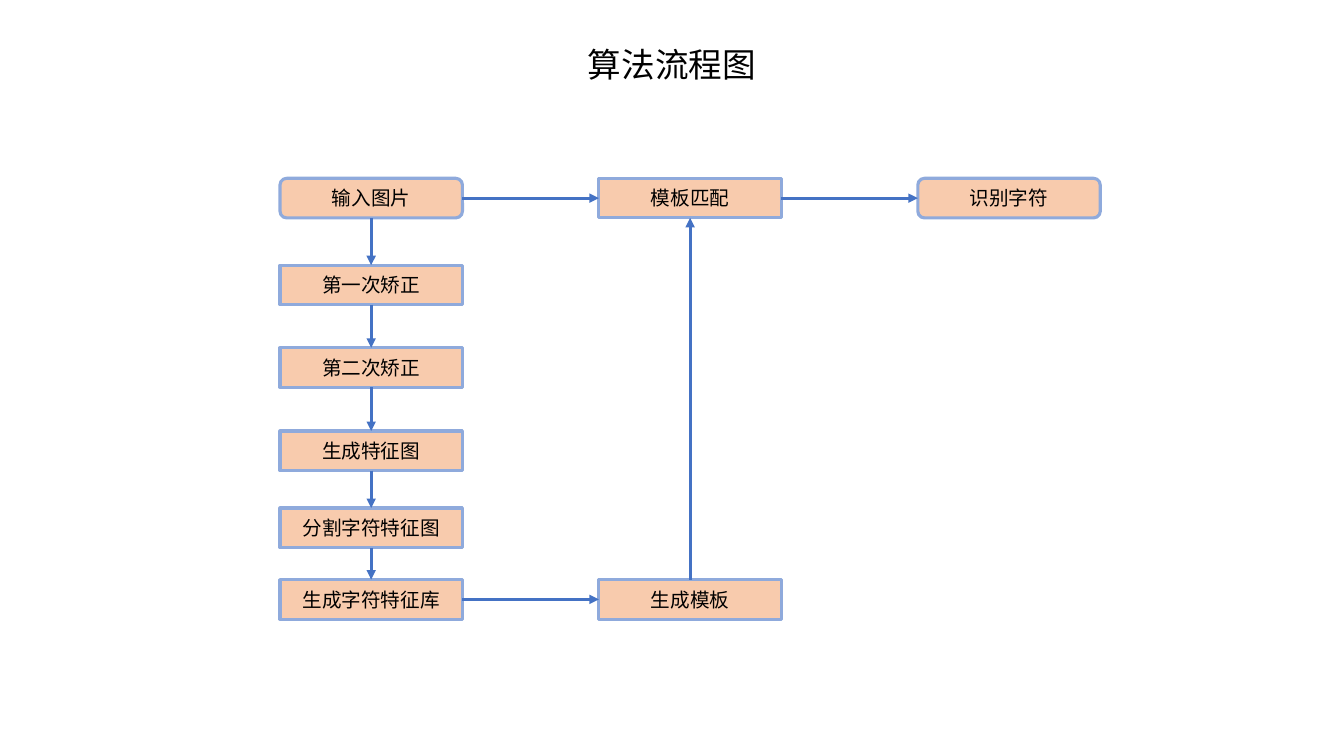
from lxml import etree
from pptx import Presentation
from pptx import util as u
from pptx.dml import color
from pptx.enum import shapes, text
from pptx.oxml import ns

COLOURS = {"box": "F8CBAD", "border": "8FAADC", "arrow": "4472C4", "text": "000000"}
FONT = "Noto Sans CJK SC"
LINE_WIDTH = 2.25
BOX_WIDTH, BOX_HEIGHT = 130.3, 28.3
COLUMN_PITCH = 227.8
ROW_TOPS = [0, 62, 121, 180.5, 235.5, 286.6]
TOP, LEFT, BOTTOM, RIGHT = range(4)

STEPS = {
    "输入图片": (0, 0),
    "第一次矫正": (0, 1),
    "第二次矫正": (0, 2),
    "生成特征图": (0, 3),
    "分割字符特征图": (0, 4),
    "生成字符特征库": (0, 5),
    "生成模板": (1, 5),
    "模板匹配": (1, 0),
    "识别字符": (2, 0),
}
TERMINALS = ("输入图片", "识别字符")
ACROSS = [("输入图片", "模板匹配"), ("模板匹配", "识别字符"), ("生成字符特征库", "生成模板")]


def rgb(name):
    """Return the named colour."""
    return color.RGBColor.from_string(COLOURS[name])


def apply_format(target, values):
    """Set each attribute of the target from a dict."""
    for name, value in values.items():
        setattr(target, name, value)


def write_text(frame, wording, size, frame_format, para_format):
    """Write one centred line of text into a frame."""
    apply_format(frame, {"word_wrap": True, **frame_format})
    para = frame.paragraphs[0]
    apply_format(para, {"alignment": text.PP_ALIGN.CENTER, **para_format})
    span = para.add_run()
    span.text = wording
    apply_format(span.font, {"size": u.Pt(size), "name": FONT})
    span.font.color.rgb = rgb("text")
    east_asian = etree.SubElement(span.font._element, ns.qn("a:ea"))
    east_asian.set("typeface", FONT)


def add_title(page, left, top, width, height):
    """Place the slide title in the given box."""
    box = page.shapes.add_textbox(u.Pt(left), u.Pt(top), u.Pt(width), u.Pt(height))
    write_text(box.text_frame, "算法流程图", 24,
               {"vertical_anchor": text.MSO_ANCHOR.TOP},
               {"line_spacing": 0.9, "space_before": u.Pt(10)})


def add_step(page, wording, left, top):
    """Place one step of the flow and return its shape."""
    outline = shapes.MSO_SHAPE.ROUNDED_RECTANGLE if wording in TERMINALS else shapes.MSO_SHAPE.RECTANGLE
    box = page.shapes.add_shape(outline, u.Pt(left), u.Pt(top), u.Pt(BOX_WIDTH), u.Pt(BOX_HEIGHT))
    box.shadow.inherit = False
    box.fill.solid()
    box.fill.fore_color.rgb = rgb("box")
    box.line.color.rgb = rgb("border")
    box.line.width = u.Pt(LINE_WIDTH)
    write_text(box.text_frame, wording, 14, {"vertical_anchor": text.MSO_ANCHOR.MIDDLE}, {})
    return box


def add_arrow(page, start, start_side, end, end_side):
    """Join two steps with an arrow attached to the given sides."""
    arrow = page.shapes.add_connector(shapes.MSO_CONNECTOR.STRAIGHT, 0, 0, 0, 0)
    arrow.begin_connect(start, start_side)
    arrow.end_connect(end, end_side)
    arrow.line.color.rgb = rgb("arrow")
    arrow.line.width = u.Pt(LINE_WIDTH)
    etree.SubElement(arrow.line._get_or_add_ln(), ns.qn("a:tailEnd"), type="triangle")
    etree.SubElement(arrow._element.spPr, ns.qn("a:effectLst"))


def add_flow(page, left, top):
    """Place the flowchart with its top left corner at the given point."""
    boxes = {
        wording: add_step(page, wording, left + column * COLUMN_PITCH, top + ROW_TOPS[row])
        for wording, (column, row) in STEPS.items()
    }
    first_column = [wording for wording, (column, _) in STEPS.items() if column == 0]
    for start, end in zip(first_column, first_column[1:]):
        add_arrow(page, boxes[start], BOTTOM, boxes[end], TOP)
    for start, end in ACROSS:
        add_arrow(page, boxes[start], RIGHT, boxes[end], LEFT)
    add_arrow(page, boxes["生成模板"], TOP, boxes["模板匹配"], BOTTOM)


def main():
    """Build the deck and save it."""
    deck = Presentation()
    apply_format(deck, {"slide_width": u.Pt(960), "slide_height": u.Pt(540)})
    page = deck.slides.add_slide(deck.slide_layouts[6])
    add_title(page, 120, 31, 720, 130)
    add_flow(page, 200, 127.4)
    deck.save("out.pptx")


if __name__ == "__main__":
    main()
